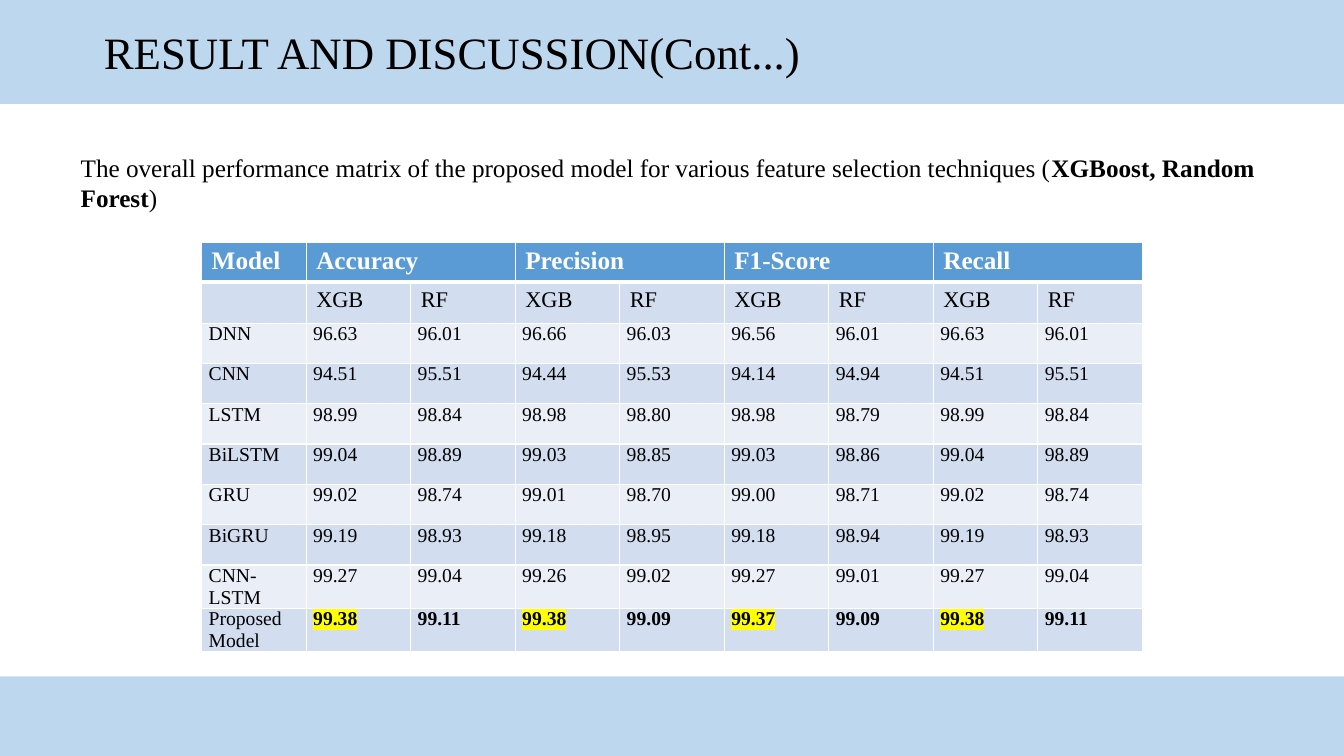
from dataclasses import dataclass

from lxml.etree import SubElement
from pptx import Presentation
from pptx.dml.color import RGBColor
from pptx.enum.shapes import MSO_SHAPE
from pptx.enum.text import MSO_ANCHOR, MSO_AUTO_SIZE, PP_ALIGN
from pptx.oxml.ns import qn
from pptx.util import Inches, Pt

TITLE = "RESULT AND DISCUSSION(Cont...)"
INTRODUCTION = [
    ("The overall performance matrix of the proposed model for various feature selection techniques (", False),
    ("XGBoost, Random Forest", True),
    (")", False),
]
METRICS = ["Accuracy", "Precision", "F1-Score", "Recall"]
SELECTORS = ["XGB", "RF"]
RESULTS = [
    ("DNN", "96.63", "96.01", "96.66", "96.03", "96.56", "96.01", "96.63", "96.01"),
    ("CNN", "94.51", "95.51", "94.44", "95.53", "94.14", "94.94", "94.51", "95.51"),
    ("LSTM", "98.99", "98.84", "98.98", "98.80", "98.98", "98.79", "98.99", "98.84"),
    ("BiLSTM", "99.04", "98.89", "99.03", "98.85", "99.03", "98.86", "99.04", "98.89"),
    ("GRU", "99.02", "98.74", "99.01", "98.70", "99.00", "98.71", "99.02", "98.74"),
    ("BiGRU", "99.19", "98.93", "99.18", "98.95", "99.18", "98.94", "99.19", "98.93"),
    ("CNN-LSTM", "99.27", "99.04", "99.26", "99.02", "99.27", "99.01", "99.27", "99.04"),
    ("Proposed Model", "99.38", "99.11", "99.38", "99.09", "99.37", "99.09", "99.38", "99.11"),
]


@dataclass(frozen=True)
class Theme:
    font: str = "Times New Roman"
    band: str = "BDD7EE"
    header: str = "5B9BD5"
    stripes: tuple = ("EAEFF7", "D2DEEF")
    text: str = "000000"
    white: str = "FFFFFF"
    highlight: str = "FFFF00"
    title_size: int = 32
    heading_size: int = 18
    selector_size: int = 16
    value_size: int = 14
    line: int = 1
    header_line: int = 3


theme = Theme()


def place(shape, left, top, width, height):
    shape.left, shape.top = Inches(left), Inches(top)
    shape.width, shape.height = Inches(width), Inches(height)


def fill_with(target, color):
    target.fill.solid()
    target.fill.fore_color.rgb = RGBColor.from_string(color)


def add_text(paragraph, text, size, bold=False, color=theme.text, highlight=None):
    run = paragraph.add_run()
    run.text = text
    font = run.font
    font.name, font.size, font.bold = theme.font, Pt(size), bold
    font.color.rgb = RGBColor.from_string(color)
    if highlight:
        properties = run._r.get_or_add_rPr()
        marker = SubElement(properties, qn("a:highlight"))
        SubElement(marker, qn("a:srgbClr"), val=highlight)
        properties.find(qn("a:solidFill")).addnext(marker)


def indent(paragraph, margin):
    properties = paragraph._p.get_or_add_pPr()
    properties.set("marL", str(Inches(margin)))
    properties.set("indent", "0")
    SubElement(properties, qn("a:buNone"))


def add_borders(cell, row):
    top = theme.header_line if row == 1 else theme.line
    bottom = theme.header_line if row == 0 else theme.line
    widths = {"a:lnL": theme.line, "a:lnR": theme.line, "a:lnT": top, "a:lnB": bottom}
    for tag, width in widths.items():
        line = SubElement(cell._tc.get_or_add_tcPr(), qn(tag), w=str(Pt(width)))
        fill = SubElement(line, qn("a:solidFill"))
        SubElement(fill, qn("a:srgbClr"), val=theme.white)


def add_title(slide):
    title = slide.shapes.title
    place(title, 0, 0, 13.33, 1.03)
    fill_with(title, theme.band)
    frame = title.text_frame
    frame.vertical_anchor = MSO_ANCHOR.MIDDLE
    frame.auto_size = MSO_AUTO_SIZE.NONE
    paragraph = frame.paragraphs[0]
    paragraph.alignment = PP_ALIGN.JUSTIFY
    indent(paragraph, 0.93)
    add_text(paragraph, TITLE, theme.title_size)


def add_footer_band(slide):
    band = slide.shapes.add_shape(
        MSO_SHAPE.RECTANGLE, 0, Inches(6.71), Inches(13.33), Inches(0.82))
    band.shadow.inherit = False
    fill_with(band, theme.band)
    band.line.fill.background()


def add_introduction(slide):
    body = slide.placeholders[1]
    place(body, 0.7, 1.46, 11.89, 4.94)
    body.text_frame.auto_size = MSO_AUTO_SIZE.NONE
    paragraph = body.text_frame.paragraphs[0]
    paragraph.space_before = Pt(0)
    indent(paragraph, 0)
    for text, bold in INTRODUCTION:
        add_text(paragraph, text, theme.heading_size, bold)


def fill_cell(cell, text, row, column):
    add_borders(cell, row)
    fill_with(cell, theme.stripes[row % 2] if row else theme.header)
    paragraph = cell.text_frame.paragraphs[0]
    if row > 1:
        cell.margin_left = cell.margin_right = Inches(0.07)
        cell.margin_top = cell.margin_bottom = 0
        paragraph.alignment = PP_ALIGN.JUSTIFY
    if not text:
        return
    if row == 0:
        add_text(paragraph, text, theme.heading_size, True, theme.white)
    elif row == 1:
        add_text(paragraph, text, theme.selector_size)
    else:
        best = row == len(RESULTS) + 1 and column > 0
        highlight = theme.highlight if best and column % 2 else None
        add_text(paragraph, text, theme.value_size, best, highlight=highlight)


def add_results(slide):
    header = ["Model"] + [text for metric in METRICS for text in (metric, "")]
    rows = [header, [""] + SELECTORS * len(METRICS), *RESULTS]
    frame = slide.shapes.add_table(
        len(rows), len(header), Inches(2), Inches(2.4), Inches(9.33), Inches(4))
    table = frame.table
    for row, texts in enumerate(rows):
        for column, text in enumerate(texts):
            fill_cell(table.cell(row, column), text, row, column)
    for column in range(1, len(header), len(SELECTORS)):
        table.cell(0, column).merge(table.cell(0, column + 1))


def main():
    presentation = Presentation()
    presentation.slide_width, presentation.slide_height = Inches(13.33), Inches(7.5)
    slide = presentation.slides.add_slide(presentation.slide_layouts[1])
    add_title(slide)
    add_footer_band(slide)
    add_introduction(slide)
    add_results(slide)
    presentation.save("out.pptx")


if __name__ == "__main__":
    main()
